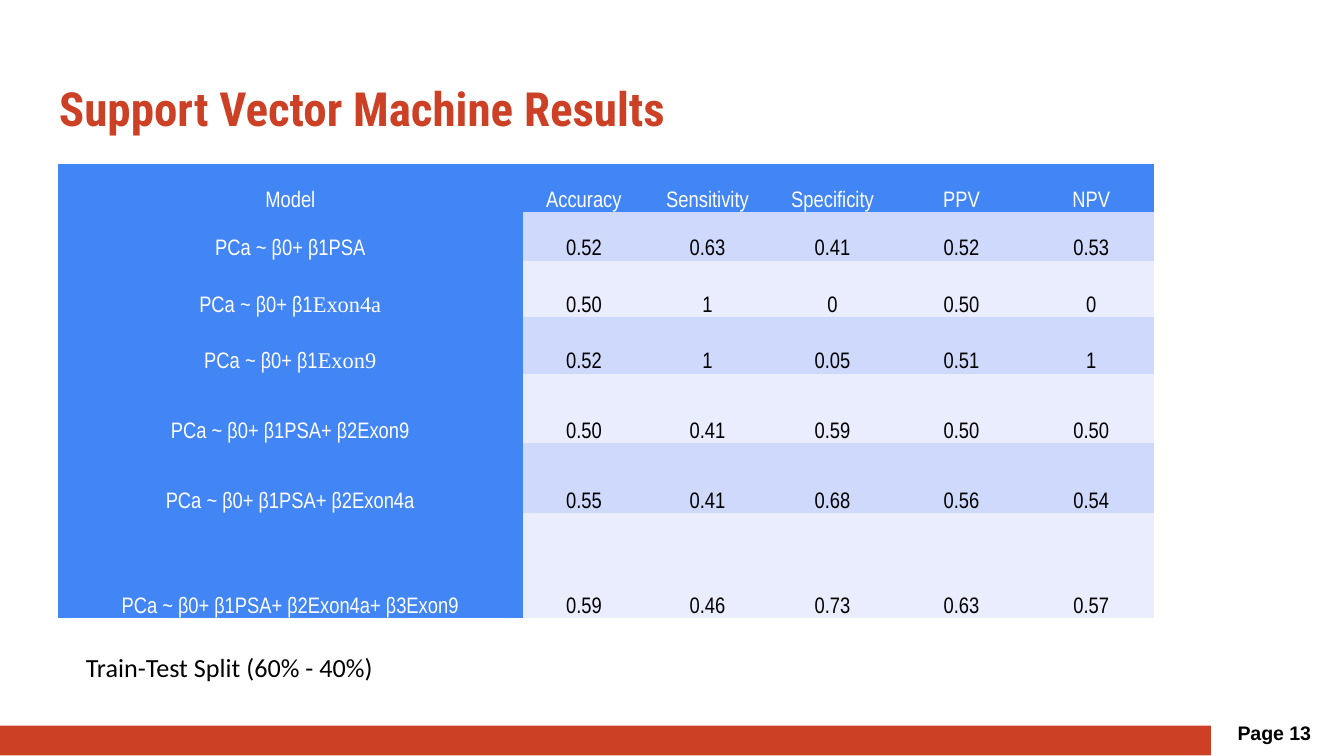
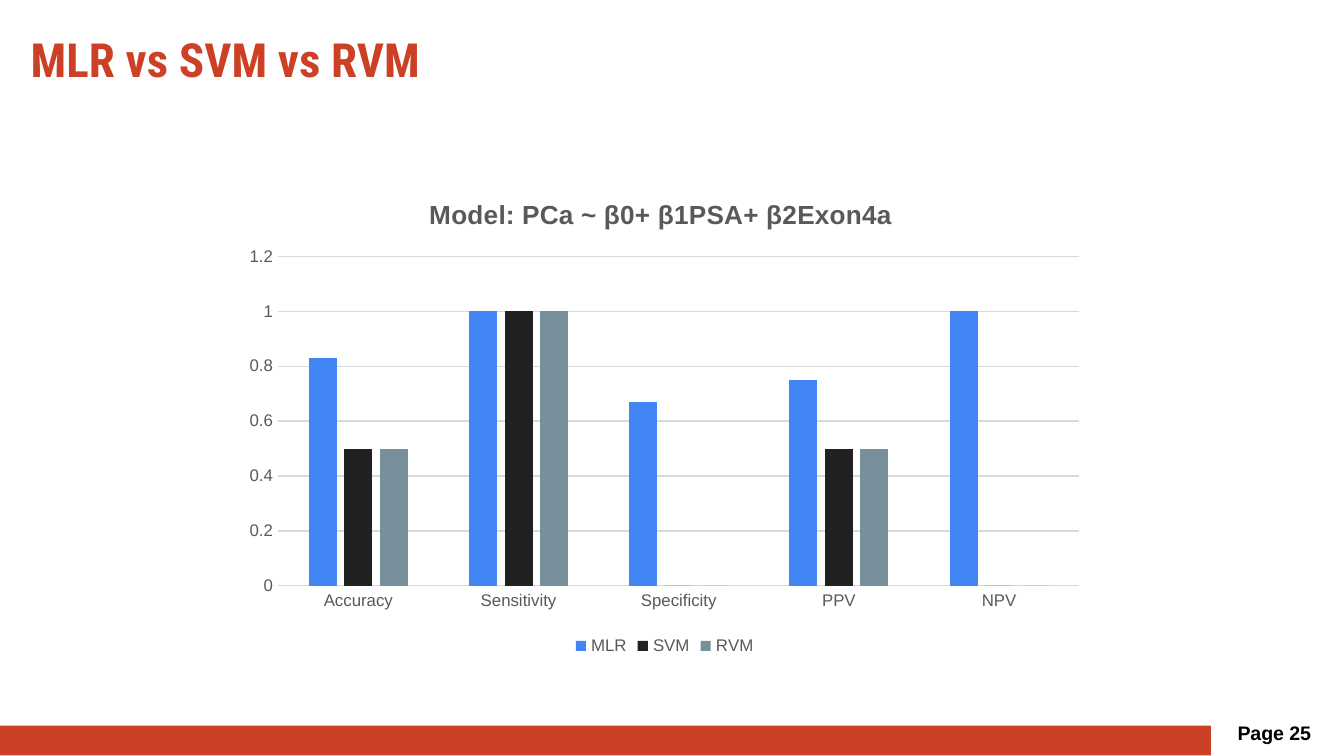
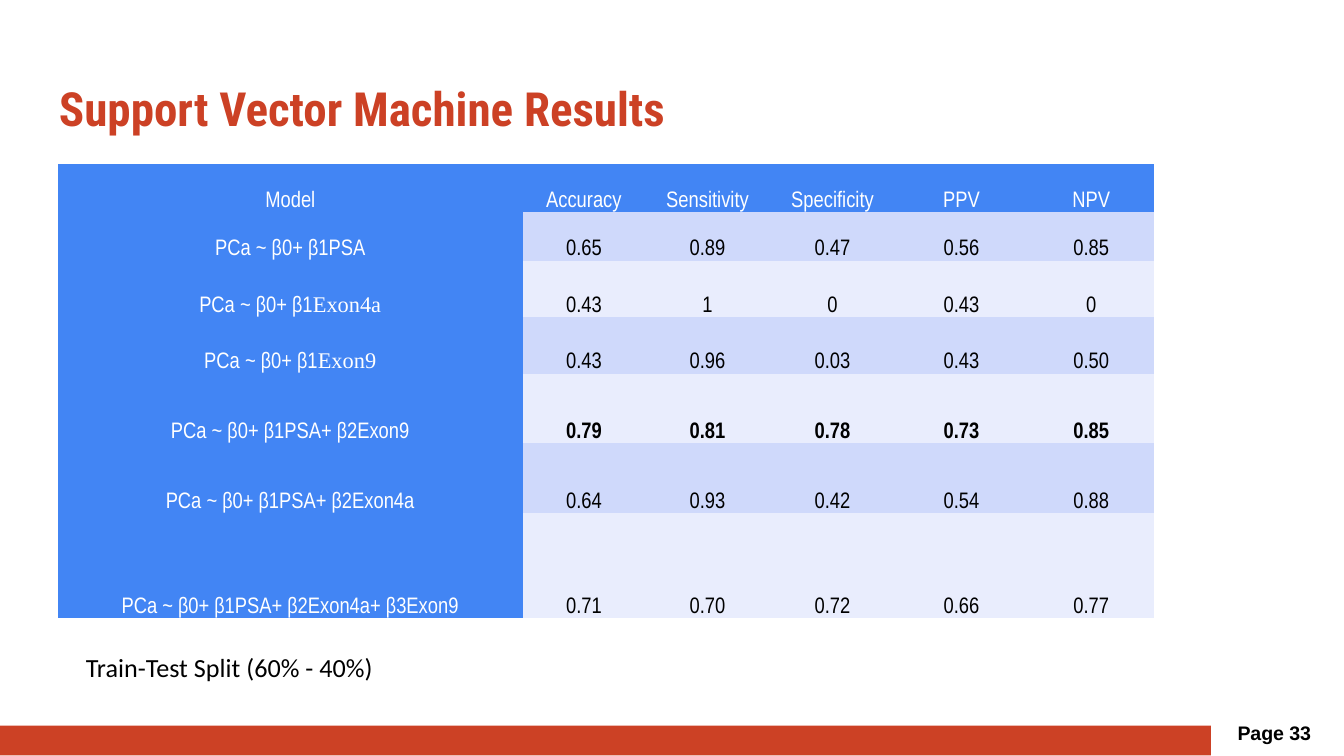
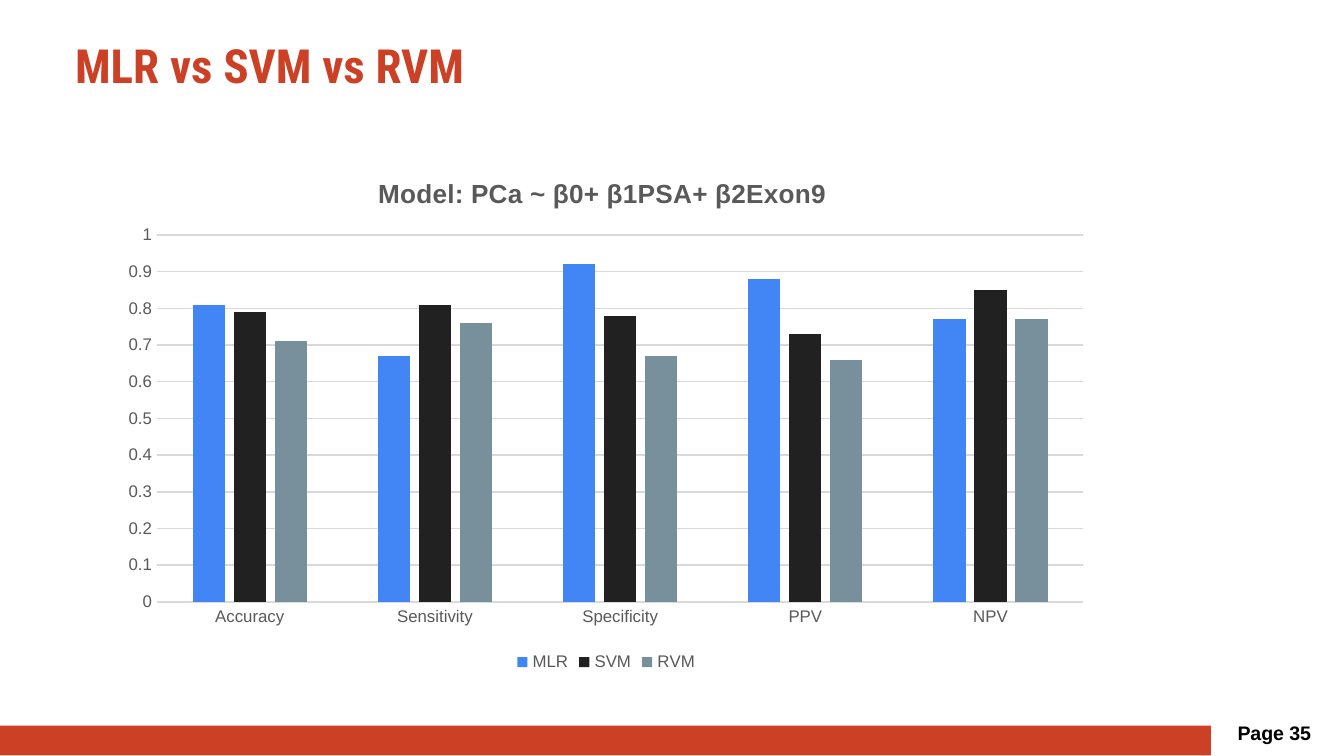
from dataclasses import dataclass
from typing import NamedTuple

import pptx
import pptx.chart.data
import pptx.dml.color
import pptx.enum.chart
import pptx.enum.shapes
import pptx.enum.text
import pptx.oxml
import pptx.oxml.ns
import pptx.util
from pptx.util import Inches


@dataclass(frozen=True)
class Theme:
    accent: str = "CC4125"
    header: str = "4285F4"
    band_dark: str = "CFD9FB"
    band_light: str = "E9EDFD"
    white: str = "FFFFFF"
    black: str = "000000"
    chart_text: str = "595959"
    chart_line: str = "D9D9D9"
    series: tuple[str, ...] = ("4285F4", "212121", "78909C")
    title_font: str = "Roboto Condensed"
    table_font: str = "Arial Narrow"
    serif_font: str = "Times New Roman"
    note_font: str = "Calibri"
    body_font: str = "Arial"
    title_size: float = 25.2
    note_size: float = 14
    table_size: float = 12
    page_size: float = 10.5
    chart_title_size: float = 14
    chart_size: float = 9


class Box(NamedTuple):
    left: float
    top: float
    width: float
    height: float

    def lengths(self) -> tuple:
        return tuple(Inches(value) for value in self)


class ModelLabel(NamedTuple):
    text: str
    serif_ending: str = ""


@dataclass(frozen=True)
class TableSlide:
    page: int
    scores: tuple[str, ...]
    bold_row: int | None = None


@dataclass(frozen=True)
class ChartSlide:
    page: int
    title_left: float
    title_top: float
    chart_box: Box
    chart_title: str
    axis_maximum: float
    axis_step: float
    values: dict[str, tuple[float, ...]]


THEME = Theme()
SLIDE_WIDTH = 10
METRICS = ("Accuracy", "Sensitivity", "Specificity", "PPV", "NPV")
MODELS = (
    ModelLabel("PCa ~ β0+ β1PSA"),
    ModelLabel("PCa ~ β0+ β1", "Exon4a"),
    ModelLabel("PCa ~ β0+ β1", "Exon9"),
    ModelLabel("PCa ~ β0+ β1PSA+ β2Exon9"),
    ModelLabel("PCa ~ β0+ β1PSA+ β2Exon4a"),
    ModelLabel("PCa ~ β0+ β1PSA+ β2Exon4a+ β3Exon9"),
)
TABLE_BOX = Box(0.43, 1.22, 8.15, 3.39)
COLUMN_WIDTHS = (3.46, 0.91, 0.93, 0.93, 0.99, 0.94)
ROW_HEIGHTS = (0.36, 0.36, 0.42, 0.42, 0.52, 0.52, 0.78)
PLOT_MARGINS = {"left": 0.35, "top": 0.6, "right": 0.14, "bottom": 0.56}
NO_TABLE_STYLE = "{2D5ABB26-0587-4C30-8999-92F81FD0307C}"

SLIDES = (
    TableSlide(13, (
        "0.52 0.63 0.41 0.52 0.53",
        "0.50 1 0 0.50 0",
        "0.52 1 0.05 0.51 1",
        "0.50 0.41 0.59 0.50 0.50",
        "0.55 0.41 0.68 0.56 0.54",
        "0.59 0.46 0.73 0.63 0.57",
    )),
    ChartSlide(
        25, 0.13, 0.13, Box(1.72, 1.31, 6.45, 3.61),
        "Model: PCa ~ β0+ β1PSA+ β2Exon4a ", 1.2, 0.2,
        {
            "MLR": (0.83, 1, 0.67, 0.75, 1),
            "SVM": (0.5, 1, 0, 0.5, 0),
            "RVM": (0.5, 1, 0, 0.5, 0),
        },
    ),
    TableSlide(33, (
        "0.65 0.89 0.47 0.56 0.85",
        "0.43 1 0 0.43 0",
        "0.43 0.96 0.03 0.43 0.50",
        "0.79 0.81 0.78 0.73 0.85",
        "0.64 0.93 0.42 0.54 0.88",
        "0.71 0.70 0.72 0.66 0.77",
    ), bold_row=4),
    ChartSlide(
        35, 0.46, 0.17, Box(0.82, 1.15, 7.38, 3.89),
        "Model: PCa ~ β0+ β1PSA+ β2Exon9 ", 1, 0.1,
        {
            "MLR": (0.81, 0.67, 0.92, 0.88, 0.77),
            "SVM": (0.79, 0.81, 0.78, 0.73, 0.85),
            "RVM": (0.71, 0.76, 0.67, 0.66, 0.77),
        },
    ),
)


def rgb(color: str) -> pptx.dml.color.RGBColor:
    return pptx.dml.color.RGBColor.from_string(color)


def style_font(font, name: str, size: float, color: str, bold: bool = False) -> None:
    font.name = name
    font.size = pptx.util.Pt(size)
    font.color.rgb = rgb(color)
    font.bold = bold


def add_text(slide, box: Box, text: str, name: str, size: float, color: str,
             bold: bool = False, inset: float = 0.1):
    """Add a one-paragraph text box and return its paragraph."""
    frame = slide.shapes.add_textbox(*box.lengths()).text_frame
    frame.word_wrap = True
    frame.margin_left = frame.margin_right = Inches(0.1)
    frame.margin_top = frame.margin_bottom = Inches(inset)
    paragraph = frame.paragraphs[0]
    paragraph.text = text
    style_font(paragraph.font, name, size, color, bold)
    return paragraph


def add_base_slide(presentation, title: str, left: float, top: float, page: int):
    """Add a slide with the title, the footer band and the page number."""
    slide = presentation.slides.add_slide(presentation.slide_layouts[6])
    add_text(slide, Box(left, top, 9.32, 0.63), title,
             THEME.title_font, THEME.title_size, THEME.accent, bold=True)
    band = slide.shapes.add_shape(pptx.enum.shapes.MSO_SHAPE.RECTANGLE,
                                  *Box(0, 5.4, 9.01, 0.22).lengths())
    band.shadow.inherit = False
    band.fill.solid()
    band.fill.fore_color.rgb = rgb(THEME.accent)
    band.line.fill.background()
    page_number = add_text(slide, Box(9.11, 5.33, 0.77, 0.37), f"Page {page}",
                           THEME.body_font, THEME.page_size, THEME.black,
                           bold=True, inset=0.13)
    page_number.line_spacing = 0.8
    page_number.space_after = pptx.util.Pt(12)
    return slide


def fill_cell(cell, label: ModelLabel, fill: str, color: str, bold: bool) -> None:
    cell.fill.solid()
    cell.fill.fore_color.rgb = rgb(fill)
    cell.vertical_anchor = pptx.enum.text.MSO_ANCHOR.BOTTOM
    cell.margin_left = cell.margin_right = cell.margin_top = Inches(0.01)
    cell.margin_bottom = Inches(0)
    paragraph = cell.text_frame.paragraphs[0]
    paragraph.alignment = pptx.enum.text.PP_ALIGN.CENTER
    for text, name in ((label.text, THEME.table_font),
                       (label.serif_ending, THEME.serif_font)):
        if text:
            run = paragraph.add_run()
            run.text = text
            style_font(run.font, name, THEME.table_size, color, bold)


def add_results_table(slide, content: TableSlide) -> None:
    table = slide.shapes.add_table(len(ROW_HEIGHTS), len(COLUMN_WIDTHS),
                                   *TABLE_BOX.lengths()).table
    table_properties = table._tbl.tblPr
    table_properties.find(pptx.oxml.ns.qn("a:tableStyleId")).text = NO_TABLE_STYLE
    for column, width in zip(table.columns, COLUMN_WIDTHS):
        column.width = Inches(width)
    for row, height in zip(table.rows, ROW_HEIGHTS):
        row.height = Inches(height)

    rows = [[ModelLabel(text) for text in ("Model", *METRICS)]]
    for model, scores in zip(MODELS, content.scores):
        rows.append([model, *(ModelLabel(score) for score in scores.split())])
    for row_index, labels in enumerate(rows):
        band = THEME.band_dark if row_index % 2 else THEME.band_light
        for column_index, label in enumerate(labels):
            is_header = row_index == 0 or column_index == 0
            fill_cell(table.cell(row_index, column_index), label,
                      THEME.header if is_header else band,
                      THEME.white if is_header else THEME.black,
                      not is_header and row_index == content.bold_row)


def add_table_slide(presentation, content: TableSlide) -> None:
    slide = add_base_slide(presentation, "Support Vector Machine Results",
                           0.34, 0.49, content.page)
    add_results_table(slide, content)
    add_text(slide, Box(0.54, 4.8, 2.39, 0.34), "Train-Test Split (60% - 40%)",
             THEME.note_font, THEME.note_size, THEME.black, inset=0.05)


def place_plot_area(chart, box: Box) -> None:
    """Fix the inner plot area at the shared margins inside the chart box."""
    fractions = {
        "x": PLOT_MARGINS["left"] / box.width,
        "y": PLOT_MARGINS["top"] / box.height,
        "w": 1 - (PLOT_MARGINS["left"] + PLOT_MARGINS["right"]) / box.width,
        "h": 1 - (PLOT_MARGINS["top"] + PLOT_MARGINS["bottom"]) / box.height,
    }
    settings = {"layoutTarget": "inner", "xMode": "edge", "yMode": "edge",
                **{key: f"{value:.4f}" for key, value in fractions.items()}}
    items = "".join(f'<c:{key} val="{value}"/>' for key, value in settings.items())
    layout = pptx.oxml.parse_xml(
        f'<c:layout {pptx.oxml.ns.nsdecls("c")}>'
        f"<c:manualLayout>{items}</c:manualLayout></c:layout>")
    plot_area = chart._chartSpace.chart.plotArea
    for old_layout in plot_area.findall(pptx.oxml.ns.qn("c:layout")):
        plot_area.remove(old_layout)
    plot_area.insert(0, layout)


def style_line(line) -> None:
    line.color.rgb = rgb(THEME.chart_line)
    line.width = pptx.util.Pt(0.75)


def add_chart_slide(presentation, content: ChartSlide) -> None:
    slide = add_base_slide(presentation, "MLR vs SVM vs RVM",
                           content.title_left, content.title_top, content.page)
    data = pptx.chart.data.CategoryChartData()
    data.categories = METRICS
    for name, values in content.values.items():
        data.add_series(name, values)
    chart = slide.shapes.add_chart(pptx.enum.chart.XL_CHART_TYPE.COLUMN_CLUSTERED,
                                   *content.chart_box.lengths(), data).chart
    style_font(chart.font, THEME.body_font, THEME.chart_size, THEME.chart_text)

    chart.has_title = True
    title = chart.chart_title.text_frame.paragraphs[0]
    title.text = content.chart_title
    style_font(title.font, THEME.body_font, THEME.chart_title_size,
               THEME.chart_text, bold=True)
    chart.chart_title.include_in_layout = False

    chart.has_legend = True
    chart.legend.position = pptx.enum.chart.XL_LEGEND_POSITION.BOTTOM
    chart.legend.include_in_layout = False
    style_font(chart.legend.font, THEME.body_font, THEME.chart_size, THEME.chart_text)

    plot = chart.plots[0]
    plot.gap_width = 219
    plot.overlap = -27
    plot.vary_by_categories = False
    for series, color in zip(plot.series, THEME.series):
        series.format.fill.solid()
        series.format.fill.fore_color.rgb = rgb(color)

    for axis in (chart.category_axis, chart.value_axis):
        axis.major_tick_mark = pptx.enum.chart.XL_TICK_MARK.NONE
        axis.minor_tick_mark = pptx.enum.chart.XL_TICK_MARK.NONE
        style_font(axis.tick_labels.font, THEME.body_font,
                   THEME.chart_size, THEME.chart_text)
    style_line(chart.category_axis.format.line)
    value_axis = chart.value_axis
    value_axis.format.line.fill.background()
    value_axis.has_major_gridlines = True
    style_line(value_axis.major_gridlines.format.line)
    value_axis.minimum_scale = 0
    value_axis.maximum_scale = content.axis_maximum
    value_axis.major_unit = content.axis_step
    place_plot_area(chart, content.chart_box)


def main() -> None:
    presentation = pptx.Presentation()
    presentation.slide_width = Inches(SLIDE_WIDTH)
    presentation.slide_height = Inches(SLIDE_WIDTH * 9 / 16)
    for content in SLIDES:
        if isinstance(content, TableSlide):
            add_table_slide(presentation, content)
        else:
            add_chart_slide(presentation, content)
    presentation.save("out.pptx")


if __name__ == "__main__":
    main()
